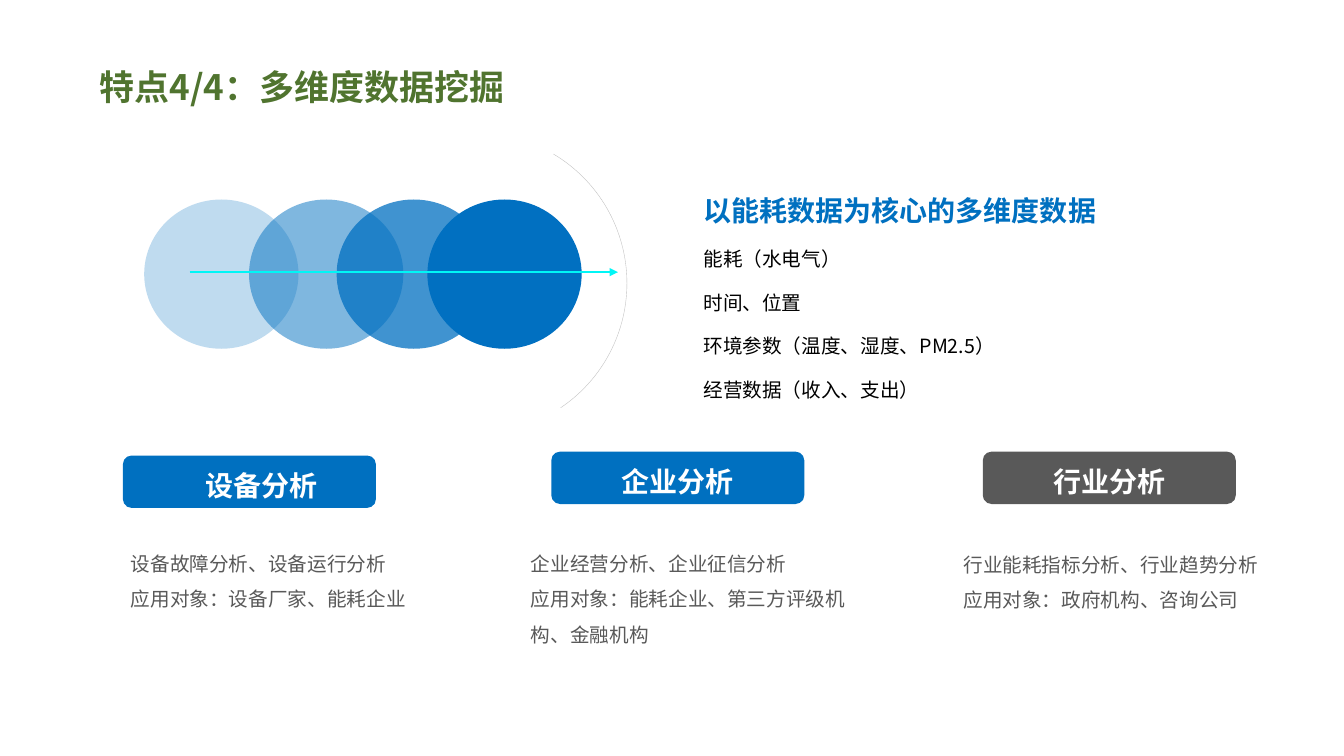
from pptx import Presentation
from pptx.dml.color import RGBColor
from pptx.enum.shapes import MSO_CONNECTOR, MSO_SHAPE
from pptx.enum.text import MSO_ANCHOR, MSO_AUTO_SIZE, PP_ALIGN
from pptx.oxml import parse_xml
from pptx.oxml.ns import nsdecls, qn
from pptx.util import Pt

WHITE = RGBColor(0xFF, 0xFF, 0xFF)
BLACK = RGBColor(0x00, 0x00, 0x00)
GREEN = RGBColor(0x50, 0x74, 0x2F)
BLUE = RGBColor(0x00, 0x70, 0xC0)
CIRCLE_BLUE = RGBColor(0x01, 0x70, 0xC1)
CYAN = RGBColor(0x00, 0xF6, 0xF6)
GRAY = RGBColor(0x59, 0x59, 0x59)
LIGHT_GRAY = RGBColor(0xBF, 0xBF, 0xBF)
CJK_FONT = "Noto Sans CJK SC"


def write_paragraph(paragraph, text, size=14, color=BLACK, bold=False, font_name=CJK_FONT,
                    align=PP_ALIGN.LEFT, line_spacing=1.5, space_before=0):
    paragraph.alignment = align
    paragraph.line_spacing = line_spacing
    paragraph.space_before = Pt(space_before)
    run = paragraph.add_run()
    run.text = text
    font = run.font
    font.size = Pt(size)
    font.bold = bold
    font.color.rgb = color
    font.name = font_name
    east_asian = parse_xml(f'<a:ea {nsdecls("a")} typeface="{CJK_FONT}"/>')
    font._element.find(qn("a:latin")).addnext(east_asian)


def add_text_box(slide, box):
    frame = slide.shapes.add_textbox(*map(Pt, box)).text_frame
    frame.word_wrap = True
    return frame


def add_filled_shape(slide, kind, box, color, opacity=100):
    shape = slide.shapes.add_shape(kind, *map(Pt, box))
    shape.shadow.inherit = False
    shape.fill.solid()
    shape.fill.fore_color.rgb = color
    shape.line.fill.background()
    if opacity < 100:
        color_element = shape._element.spPr.find(qn("a:solidFill"))[0]
        color_element.append(parse_xml(f'<a:alpha {nsdecls("a")} val="{opacity * 1000}"/>'))
    return shape


def add_title(slide, box):
    title = slide.shapes.title
    title.left, title.top, title.width, title.height = map(Pt, box)
    frame = title.text_frame
    frame.auto_size = MSO_AUTO_SIZE.NONE
    frame.word_wrap = True
    frame.vertical_anchor = MSO_ANCHOR.MIDDLE
    frame.margin_left = Pt(34.6)
    write_paragraph(frame.paragraphs[0], "特点4/4：多维度数据挖掘", size=25, color=GREEN,
                    bold=True, line_spacing=1.2)


def add_circle_diagram(slide, box):
    left, top, width, height = box
    circle_width, circle_height = 110.2, 106.6
    circle_top = top + 47.5
    for offset, opacity in ((202.3, 100), (137.5, 75), (74.9, 50), (0, 25)):
        add_filled_shape(slide, MSO_SHAPE.OVAL,
                         (left + offset, circle_top, circle_width, circle_height),
                         CIRCLE_BLUE, opacity)

    arrow_y = Pt(top + 99.4)
    arrow = slide.shapes.add_connector(MSO_CONNECTOR.STRAIGHT, Pt(left + 32.4), arrow_y,
                                       Pt(left + 338.4), arrow_y)
    arrow.line.color.rgb = CYAN
    arrow.line.width = Pt(1.5)
    arrow.line._get_or_add_ln().append(parse_xml(f'<a:tailEnd {nsdecls("a")} type="triangle"/>'))
    arrow._element.spPr.append(parse_xml(f'<a:effectLst {nsdecls("a")}/>'))

    arc = slide.shapes.add_shape(MSO_SHAPE.ARC, Pt(left + width - height), Pt(top),
                                 Pt(height), Pt(height))
    arc.shadow.inherit = False
    arc.fill.background()
    arc.line.color.rgb = LIGHT_GRAY
    arc.line.width = Pt(0.25)
    for index, degrees in enumerate((300.68, 56.06)):
        arc.adjustments[index] = degrees * 0.6


def add_data_list(slide, box):
    frame = add_text_box(slide, box)
    write_paragraph(frame.paragraphs[0], "以能耗数据为核心的多维度数据", size=20, color=BLUE, bold=True)
    for text in ("能耗（水电气）", "时间、位置", "环境参数（温度、湿度、PM2.5）", "经营数据（收入、支出）"):
        write_paragraph(frame.add_paragraph(), text, space_before=6)


def add_analysis(slide, box, label, lines, color, body_box, label_shift=0):
    pill = add_filled_shape(slide, MSO_SHAPE.ROUNDED_RECTANGLE, box, color)
    frame = pill.text_frame
    frame.vertical_anchor = MSO_ANCHOR.MIDDLE
    frame.margin_left = Pt(2 * label_shift)
    frame.margin_top = Pt(5.2)
    frame.margin_right = frame.margin_bottom = 0
    write_paragraph(frame.paragraphs[0], label, size=20, color=WHITE, bold=True,
                    font_name="Calibri", align=PP_ALIGN.CENTER, line_spacing=1)

    body = add_text_box(slide, body_box)
    for index, text in enumerate(lines):
        paragraph = body.add_paragraph() if index else body.paragraphs[0]
        write_paragraph(paragraph, text, color=GRAY)


def build_slide(presentation):
    slide = presentation.slides.add_slide(presentation.slide_layouts[5])
    slide.background.fill.solid()
    slide.background.fill.fore_color.rgb = WHITE
    add_title(slide, (36.7, 37.4, 438.5, 43.2))
    add_circle_diagram(slide, (103, 95, 344.8, 214.6))
    add_data_list(slide, (495.4, 122.4, 372.2, 169.9))
    add_analysis(slide, (87.8, 325.4, 180.7, 37.4), "设备分析",
                 ("设备故障分析、设备运行分析", "应用对象：设备厂家、能耗企业"),
                 BLUE, (86.4, 382.3, 247, 55.4), label_shift=8.6)
    add_analysis(slide, (393.8, 322.6, 180.7, 37.4), "企业分析",
                 ("企业经营分析、企业征信分析", "应用对象：能耗企业、第三方评级机构、金融机构"),
                 BLUE, (372.2, 382.3, 245.5, 80.6))
    add_analysis(slide, (702, 322.6, 180.7, 37.4), "行业分析",
                 ("行业能耗指标分析、行业趋势分析", "应用对象：政府机构、咨询公司"),
                 GRAY, (681.1, 383, 253.4, 55.4))


def main():
    presentation = Presentation()
    presentation.slide_width = Pt(960)
    presentation.slide_height = Pt(540)
    build_slide(presentation)
    presentation.save("out.pptx")


if __name__ == "__main__":
    main()
